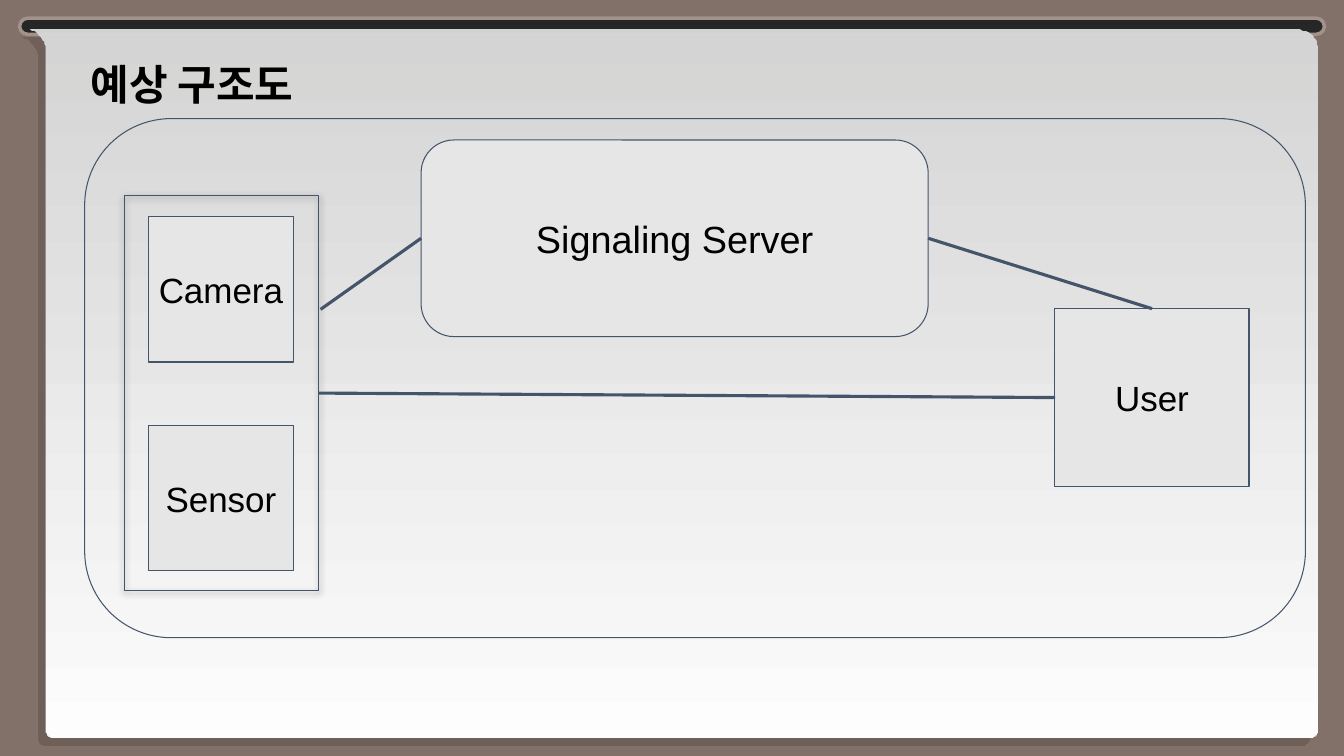
from math import cos, radians, sin

from lxml import etree
from pptx import Presentation
from pptx.dml.color import RGBColor
from pptx.enum import shapes as sh, text as tx
from pptx.oxml import ns
from pptx.util import Pt

# Content: name, kind, (left, top, width, height), text size
TITLE = "예상 구조도"
RECT, ROUND = sh.MSO_SHAPE.RECTANGLE, sh.MSO_SHAPE.ROUNDED_RECTANGLE
NODES = [
    ("Camera", RECT, (105.8, 154.6, 104, 104), 25),
    ("Sensor", RECT, (105.8, 303.8, 104, 104), 25),
    ("Signaling Server", ROUND, (300.8, 100, 362.2, 140.4), 27),
    ("User", RECT, (753.6, 220.5, 138.6, 127), 25),
]
DEVICE = (88.9, 139.6, 138.6, 282.4)
SYSTEM = (60.5, 84.7, 872, 370.8)
# Start node and side, end node and side
TOP, LEFT, RIGHT = 0, 1, 3
LINKS = [
    ("Device", RIGHT, "User", LEFT),
    (None, (229, 221), "Signaling Server", LEFT),
    ("Signaling Server", RIGHT, "User", TOP),
]
# Paper corners: centre x, centre y, radius, start angle, end angle
CURVES = [
    (926, 36, 15, -90, 0),
    (935, 521, 6, 0, 90),
    (39, 521, 6, 90, 180),
    (18, 36, 15, 0, -70),
]
INK, LINE, NODE = "000000", "44546A", "E7E6E6"

prs = Presentation()
prs.slide_width, prs.slide_height = Pt(960), Pt(540)
slide = prs.slides.add_slide(prs.slide_layouts[5])
parts = slide.shapes


def rgb(code):
    return RGBColor.from_string(code)


def place(box):
    return [Pt(n) for n in box]


def paint(shape, fill=None, line=None, width=0.75):
    shape.shadow.inherit = False
    if fill:
        shape.fill.solid()
        shape.fill.fore_color.rgb = rgb(fill)
    else:
        shape.fill.background()
    if line:
        shape.line.color.rgb = rgb(line)
        shape.line.width = Pt(width)
    else:
        shape.line.fill.background()


def add_alpha(color, pct):
    etree.SubElement(color, ns.qn("a:alpha"), val=str(pct * 1000))


def shade(shape, pct, blur, dist, angle):
    effects = shape._element.spPr.find(ns.qn("a:effectLst"))
    outer = etree.SubElement(
        effects, ns.qn("a:outerShdw"), blurRad=str(Pt(blur)),
        dist=str(Pt(dist)), dir=str(angle * 60000), rotWithShape="0")
    add_alpha(etree.SubElement(outer, ns.qn("a:srgbClr"), val=INK), pct)


def style(frame, size, bold=False):
    for run in frame.paragraphs[0].runs:
        run.font.name, run.font.size = "Arial", Pt(size)
        run.font.bold, run.font.color.rgb = bold, rgb(INK)


# Background and top bar
slide.background.fill.solid()
slide.background.fill.fore_color.rgb = rgb("827169")
bar = parts.add_shape(ROUND, *place((14, 13, 932, 11.5)))
bar.adjustments[0] = 0.5
paint(bar, "262626", "A1928B", 2.5)

# Paper sheet
edge = [(x + r * cos(radians(a + (b - a) * i / 12)),
         y + r * sin(radians(a + (b - a) * i / 12)))
        for x, y, r, a, b in CURVES for i in range(13)]
pen = parts.build_freeform(21.6, 21, scale=Pt(1))
pen.add_line_segments(edge, close=True)
paper = pen.convert_to_shape()
paint(paper)
paper.fill.gradient()
paper.fill.gradient_angle = 270
for stop, tone in zip(paper.fill.gradient_stops, ("D8D8D8", "FFFFFF")):
    stop.color.rgb = rgb(tone)
add_alpha(next(paper._element.spPr.iter(ns.qn("a:srgbClr"))), 98)
shade(paper, 15, 0, 8, 135)

# Title, brought in front of the paper
title = parts.title
title.left, title.top, title.width, title.height = place((57.6, 38, 180, 44))
frame = title.text_frame
frame.text = TITLE
frame.word_wrap = False
frame.auto_size = tx.MSO_AUTO_SIZE.NONE
frame.vertical_anchor = tx.MSO_ANCHOR.TOP
frame.paragraphs[0].alignment = tx.PP_ALIGN.LEFT
style(frame, 30, True)
parts._spTree.append(title._element)

# Nodes
made = {}
for name, kind, box, size in NODES:
    node = made[name] = parts.add_shape(kind, *place(box))
    paint(node, NODE, LINE)
    frame = node.text_frame
    frame.text = name
    frame.word_wrap = True
    frame.margin_left = frame.margin_right = Pt(7)
    frame.margin_top = frame.margin_bottom = Pt(7)
    frame.vertical_anchor = tx.MSO_ANCHOR.MIDDLE
    frame.paragraphs[0].alignment = tx.PP_ALIGN.CENTER
    style(frame, size)

# Device frame
device = made["Device"] = parts.add_shape(RECT, *place(DEVICE))
paint(device, None, LINE)
shade(device, 50, 4.5, 1.5, 90)

# Links
for start, side, end, goal in LINKS:
    x, y = (0, 0) if start else side
    link = parts.add_connector(
        sh.MSO_CONNECTOR.STRAIGHT, Pt(x), Pt(y), Pt(x), Pt(y))
    if start:
        link.begin_connect(made[start], side)
    link.end_connect(made[end], goal)
    link.line.color.rgb = rgb(LINE)
    link.line.width = Pt(2.25)
    etree.SubElement(link._element.spPr, ns.qn("a:effectLst"))

# System outline
paint(parts.add_shape(ROUND, *place(SYSTEM)), None, LINE)

prs.save("out.pptx")
